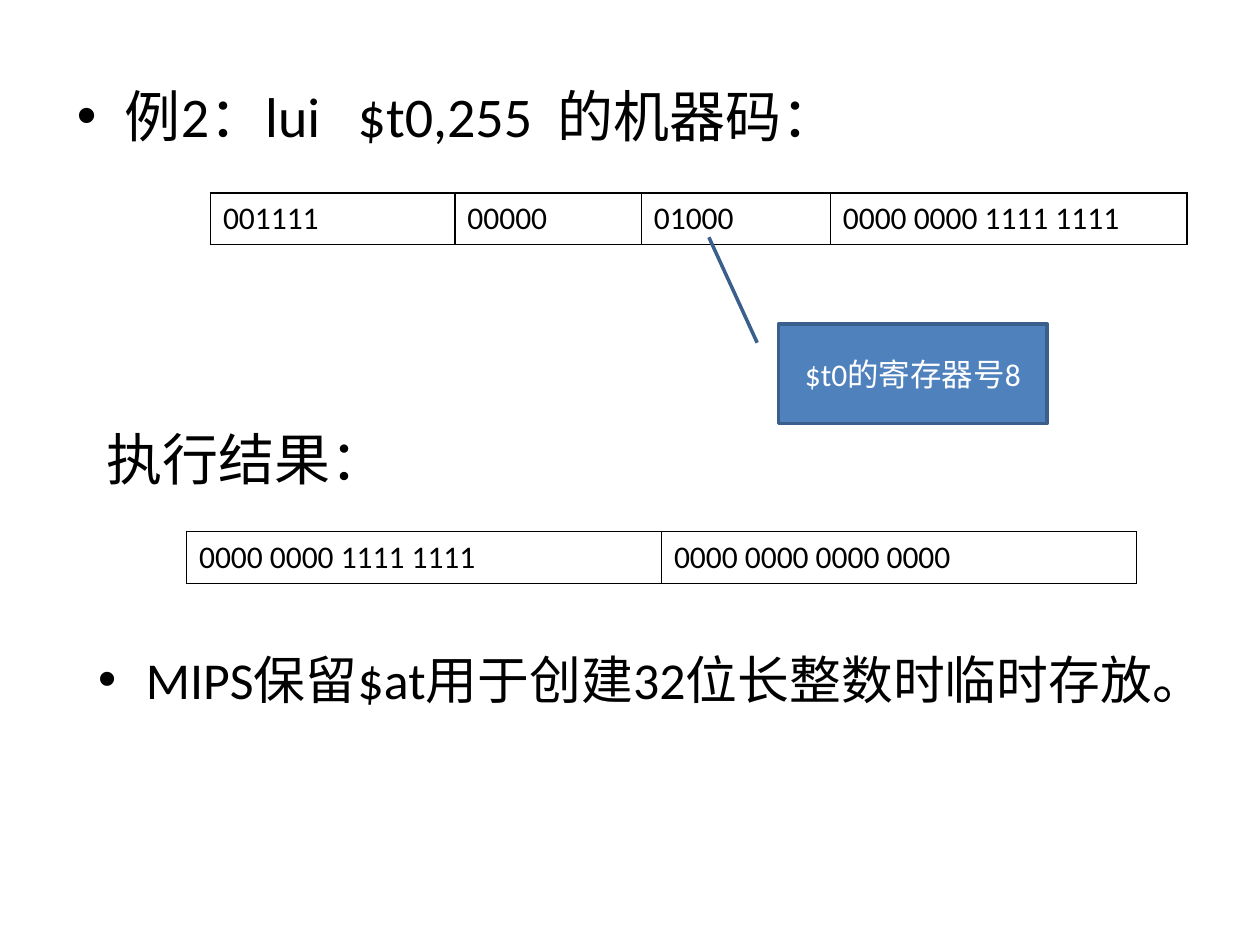
from dataclasses import dataclass

import pptx
import pptx.dml.color
import pptx.enum.shapes
import pptx.enum.text
import pptx.oxml
import pptx.oxml.ns
import pptx.util
from pptx.util import Inches

ALIGN = pptx.enum.text.PP_ALIGN
ANCHOR = pptx.enum.text.MSO_ANCHOR


@dataclass(frozen=True)
class Theme:
    font: str = "Calibri"
    black: str = "000000"
    white: str = "FFFFFF"
    callout_fill: str = "4F81BD"
    callout_line: str = "3A5F8C"
    heading: float = 32
    note: float = 29.6
    label: float = 18


THEME = Theme()


@dataclass(frozen=True)
class Run:
    text: str
    spacing: float = 0  # extra points after each character


@dataclass(frozen=True)
class BitTable:
    left: float
    top: float
    columns: tuple[float, ...]
    fields: tuple[str, ...]
    height: float = 0.41


BIT_TABLES = (
    BitTable(1.67, 1.53, (1.94, 1.48, 1.5, 2.83),
             ("001111", "00000", "01000", "0000 0000 1111 1111")),
    BitTable(1.48, 4.22, (3.77, 3.77),
             ("0000 0000 1111 1111", "0000 0000 0000 0000")),
)


def color(value: str) -> pptx.dml.color.RGBColor:
    return pptx.dml.color.RGBColor.from_string(value)


def add_xml(parent, xml: str) -> None:
    """Append a drawing element, written without its namespace declaration."""
    name, rest = xml[1:].split(" ", 1)
    declaration = pptx.oxml.ns.nsdecls("a")
    parent.append(pptx.oxml.parse_xml(f"<{name} {declaration} {rest}"))


def write(frame, *runs: Run, size: float, ink: str = THEME.black,
          align=ALIGN.LEFT, anchor=ANCHOR.TOP, bullet: bool = False) -> None:
    frame.word_wrap = True
    frame.auto_size = pptx.enum.text.MSO_AUTO_SIZE.NONE
    frame.vertical_anchor = anchor
    paragraph = frame.paragraphs[0]
    if bullet:
        properties = paragraph._p.get_or_add_pPr()
        properties.set("marL", str(Inches(0.38)))
        properties.set("indent", str(Inches(-0.38)))
        add_xml(properties, '<a:buFont typeface="Arial"/>')
        add_xml(properties, '<a:buChar char="•"/>')
    paragraph.alignment = align
    paragraph.space_before = pptx.util.Pt(0)
    for item in runs:
        run = paragraph.add_run()
        run.text = item.text
        run.font.name = THEME.font
        run.font.size = pptx.util.Pt(size)
        run.font.color.rgb = color(ink)
        if item.spacing:
            run._r.get_or_add_rPr().set("spc", str(round(item.spacing * 100)))


def add_text(slide, left: float, top: float, text: str, **style) -> None:
    box = slide.shapes.add_textbox(Inches(left), Inches(top), Inches(9), Inches(0.71))
    write(box.text_frame, Run(text), **style)


def add_bit_table(slide, layout: BitTable) -> None:
    table = slide.shapes.add_table(
        1, len(layout.columns), Inches(layout.left), Inches(layout.top),
        Inches(sum(layout.columns)), Inches(layout.height)).table
    table.first_row = table.horz_banding = False
    table.rows[0].height = Inches(layout.height)
    for index, (width, field) in enumerate(zip(layout.columns, layout.fields)):
        table.columns[index].width = Inches(width)
        cell = table.cell(0, index)
        paragraph = cell.text_frame.paragraphs[0]
        run = paragraph.add_run()
        run.text = field
        run.font.name = THEME.font
        run.font.size = pptx.util.Pt(THEME.label)
        run.font.color.rgb = color(THEME.black)
        properties = cell._tc.get_or_add_tcPr()
        for side in ("lnL", "lnR", "lnT", "lnB"):
            add_xml(properties, f'<a:{side} w="12700"><a:solidFill><a:srgbClr '
                                f'val="{THEME.black}"/></a:solidFill></a:{side}>')
        cell.fill.background()


def add_register_callout(slide) -> None:
    callout = slide.shapes.add_shape(
        pptx.enum.shapes.MSO_SHAPE.LINE_CALLOUT_1,
        Inches(6.18), Inches(2.57), Inches(2.13), Inches(0.79))
    for index, value in enumerate((0.19, -0.08, -0.87, -0.26)):
        callout.adjustments[index] = value
    callout.shadow.inherit = False
    callout.fill.solid()
    callout.fill.fore_color.rgb = color(THEME.callout_fill)
    callout.line.color.rgb = color(THEME.callout_line)
    callout.line.width = pptx.util.Pt(2)
    write(callout.text_frame, Run("$t0的寄存器号8"), size=THEME.label,
          ink=THEME.white, align=ALIGN.CENTER, anchor=ANCHOR.MIDDLE)


def add_example(slide) -> None:
    body = slide.placeholders[1]
    body.left, body.top = Inches(0.51), Inches(0.6)
    body.width, body.height = Inches(9), Inches(0.71)
    write(body.text_frame, Run("例2：lui"), Run(" ", 14), Run("$t0,255"),
          Run(" ", 7), Run("的机器码："), size=THEME.heading, bullet=True)


def main() -> None:
    presentation = pptx.Presentation()
    presentation.slide_width, presentation.slide_height = Inches(10), Inches(7.5)
    slide = presentation.slides.add_slide(presentation.slide_layouts[1])
    title = slide.shapes.title._element
    title.getparent().remove(title)

    instruction, result = BIT_TABLES
    add_example(slide)
    add_bit_table(slide, instruction)
    add_register_callout(slide)
    add_text(slide, 0.75, 3.32, "执行结果：", size=THEME.heading)
    add_bit_table(slide, result)
    add_text(slide, 0.68, 5.09, "MIPS保留$at用于创建32位长整数时临时存放。",
             size=THEME.note, bullet=True)
    presentation.save("out.pptx")


if __name__ == "__main__":
    main()
